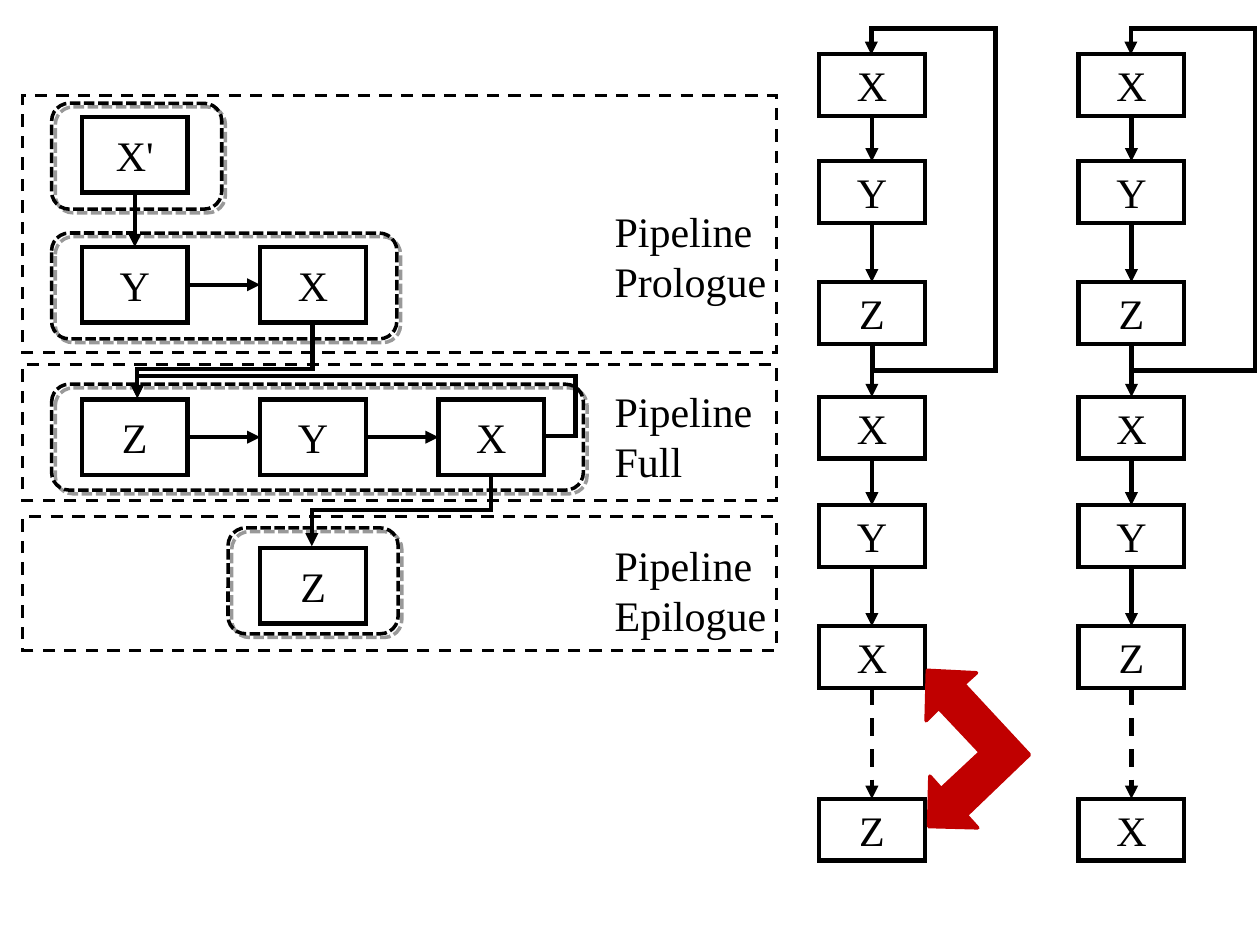
from dataclasses import dataclass
from itertools import pairwise

import pptx
import pptx.dml.color
import pptx.enum.dml
import pptx.enum.shapes
import pptx.enum.text
import pptx.oxml
import pptx.oxml.ns
import pptx.util

COLORS = {"ink": "000000", "hazard": "C00000"}
FONT, FONT_SIZE = "Times New Roman", 24
DASH = pptx.enum.dml.MSO_LINE.DASH
SHORT_DASH = pptx.enum.dml.MSO_LINE.SQUARE_DOT
SHAPES = pptx.enum.shapes.MSO_SHAPE
NAMESPACE = 'xmlns:a="http://schemas.openxmlformats.org/drawingml/2006/main"'

NODE_WIDTH = 0.84
# Loop chains: one column per chain, one row per node
CHAIN_COLUMNS = {6.5: "XYZXYXZ", 8.56: "XYZXYZX"}
CHAIN_ROWS = [0.43, 1.28, 2.24, 3.15, 4.01, 4.97, 6.34]
CHAIN_NODE_HEIGHT = 0.49
# Pipeline: equal columns, one row per step
PIPELINE_LEFT, PIPELINE_PITCH = 0.65, 1.415
PIPELINE_ROWS = [0.93, 1.96, 3.17, 4.35]
PIPELINE_NODE_HEIGHT = 0.6
PIPELINE_NODES = [(0, 0, "X'"), (0, 1, "Y"), (1, 1, "X"), (0, 2, "Z"),
                  (1, 2, "Y"), (2, 2, "X"), (1, 3, "Z")]


@dataclass
class Frame:
    left: float
    top: float
    width: float
    height: float

    def inches(self) -> list:
        return [pptx.util.Inches(value) for value in
                (self.left, self.top, self.width, self.height)]


@dataclass
class Stage:
    name: str
    top: float
    height: float
    label_top: float


@dataclass
class Elbow:
    frame: Frame
    preset: str
    adjustments: list[float]
    transform: dict[str, str]


STAGES = [Stage("Prologue", 0.76, 2.04, 1.58), Stage("Full", 2.89, 1.08, 3.01),
          Stage("Epilogue", 4.1, 1.06, 4.23)]
GROUPS = [Frame(1.81, 4.19, 1.35, 0.84), Frame(0.41, 3.05, 4.22, 0.84),
          Frame(0.41, 1.85, 2.74, 0.84), Frame(0.41, 0.82, 1.35, 0.84)]
PIPELINE_ELBOWS = [
    Elbow(Frame(1.49, 2.17, 0.59, 1.39), "bentConnector3", [0.61], {"rot": "5400000"}),
    Elbow(Frame(2.9, 3.34, 0.57, 1.42), "bentConnector3", [0.5], {"rot": "5400000"}),
    Elbow(Frame(1.09, 3.16, 3.22, 0.3), "bentConnector4", [-0.08, 1.58],
          {"flipH": "1", "flipV": "1"}),
]
# Corners in hundredths of an inch, since a freeform keeps whole units only
HAZARD_ARROW = [(737, 656), (738, 616), (747, 626), (778, 597), (745, 562), (735, 572),
                (736, 532), (775, 534), (765, 543), (817, 599), (767, 647), (776, 657)]


def color(name: str):
    return pptx.dml.color.RGBColor.from_string(COLORS[name])


def element(xml: str):
    return pptx.oxml.parse_xml(xml.replace(" ", f" {NAMESPACE} ", 1))


def style_line(shape, width: float, dash=None, arrow: bool = False) -> None:
    shape.line.color.rgb = color("ink")
    shape.line.width = pptx.util.Pt(width)
    if dash is not None:
        shape.line.dash_style = dash
    line = shape.line._get_or_add_ln()
    line.append(element('<a:miter lim="800000"/>'))
    if arrow:
        line.append(element('<a:tailEnd type="triangle"/>'))


def write(shape, lines: list[str]) -> None:
    frame = shape.text_frame
    frame.word_wrap = True
    frame.text = "\n".join(lines)
    for paragraph in frame.paragraphs:
        for span in paragraph.runs:
            span.font.name = FONT
            span.font.size = pptx.util.Pt(FONT_SIZE)
            span.font.color.rgb = color("ink")


def add_outline(page, frame: Frame, width: float, dash=None, kind=SHAPES.RECTANGLE):
    box = page.shapes.add_shape(kind, *frame.inches())
    box.shadow.inherit = False
    box.fill.background()
    style_line(box, width, dash)
    return box


def add_node(page, frame: Frame, name: str) -> None:
    box = add_outline(page, frame, 2.5)
    write(box, [name])
    box.text_frame.vertical_anchor = pptx.enum.text.MSO_ANCHOR.MIDDLE
    box.text_frame.paragraphs[0].alignment = pptx.enum.text.PP_ALIGN.CENTER


def add_group(page, frame: Frame) -> None:
    box = add_outline(page, frame, 2, SHORT_DASH, SHAPES.ROUNDED_RECTANGLE)
    effects = box._element.spPr.find(pptx.oxml.ns.qn("a:effectLst"))
    effects.append(element(
        '<a:outerShdw blurRad="0" dist="38100" dir="2700000" algn="tl" rotWithShape="0">'
        f'<a:srgbClr val="{COLORS["ink"]}"><a:alpha val="40000"/></a:srgbClr></a:outerShdw>'))


def add_arrow(page, x1: float, y1: float, x2: float, y2: float, dash=None):
    arrow = page.shapes.add_connector(
        pptx.enum.shapes.MSO_CONNECTOR.STRAIGHT,
        *[pptx.util.Inches(value) for value in (x1, y1, x2, y2)])
    style_line(arrow, 2.5, dash, arrow=True)
    arrow._element.spPr.append(element("<a:effectLst />"))
    return arrow


def add_elbow(page, elbow: Elbow) -> None:
    frame = elbow.frame
    arrow = add_arrow(page, frame.left, frame.top,
                      frame.left + frame.width, frame.top + frame.height)
    properties = arrow._element.spPr
    for key, value in elbow.transform.items():
        properties.xfrm.set(key, value)
    geometry = properties.find(pptx.oxml.ns.qn("a:prstGeom"))
    geometry.set("prst", elbow.preset)
    guides = geometry.find(pptx.oxml.ns.qn("a:avLst"))
    for number, share in enumerate(elbow.adjustments, 1):
        guides.append(element(
            f'<a:gd name="adj{number}" fmla="val {round(share * 100000)}"/>'))


def add_chain(page, left: float, names: str) -> None:
    center = left + NODE_WIDTH / 2
    for top, name in zip(CHAIN_ROWS, names):
        add_node(page, Frame(left, top, NODE_WIDTH, CHAIN_NODE_HEIGHT), name)
    for top, following in pairwise(CHAIN_ROWS):
        dash = DASH if following == CHAIN_ROWS[-1] else None
        add_arrow(page, center, top + CHAIN_NODE_HEIGHT, center, following, dash)
    # The loop runs from below Z back to the top of the first X
    rise = CHAIN_ROWS[2] + CHAIN_NODE_HEIGHT - CHAIN_ROWS[0]
    middle = CHAIN_ROWS[0] + rise / 2
    add_elbow(page, Elbow(Frame(center - rise / 2, middle, rise, 0.01), "bentConnector5",
                          [-0.09, -99, 1.09], {"rot": "16200000", "flipV": "1"}))


def add_hazard_arrow(page) -> None:
    builder = page.shapes.build_freeform(*HAZARD_ARROW[0], scale=pptx.util.Inches(0.01))
    builder.add_line_segments(HAZARD_ARROW[1:], close=True)
    arrow = builder.convert_to_shape()
    arrow.shadow.inherit = False
    arrow.fill.solid()
    arrow.fill.fore_color.rgb = color("hazard")
    arrow.line.color.rgb = color("hazard")
    arrow.line.width = pptx.util.Pt(2)


def add_pipeline(page) -> None:
    for stage in STAGES:
        add_outline(page, Frame(0.18, stage.top, 5.98, stage.height), 1.75, DASH)
    for group in GROUPS:
        add_group(page, group)
    columns = [PIPELINE_LEFT + PIPELINE_PITCH * index for index in range(3)]
    center = columns[0] + NODE_WIDTH / 2
    add_arrow(page, center, PIPELINE_ROWS[0] + PIPELINE_NODE_HEIGHT, center, PIPELINE_ROWS[1])
    for column, row in [(0, 1), (0, 2), (1, 2)]:
        y = PIPELINE_ROWS[row] + PIPELINE_NODE_HEIGHT / 2
        add_arrow(page, columns[column] + NODE_WIDTH, y, columns[column + 1], y)
    for elbow in PIPELINE_ELBOWS:
        add_elbow(page, elbow)
    for stage in STAGES:
        label = page.shapes.add_textbox(*Frame(4.78, stage.label_top, 1.5, 0.9).inches())
        write(label, ["Pipeline", stage.name])
    for column, row, name in PIPELINE_NODES:
        add_node(page, Frame(columns[column], PIPELINE_ROWS[row],
                             NODE_WIDTH, PIPELINE_NODE_HEIGHT), name)


def main() -> None:
    deck = pptx.Presentation()
    deck.slide_width, deck.slide_height = pptx.util.Inches(10), pptx.util.Inches(7.5)
    page = deck.slides.add_slide(deck.slide_layouts[6])
    for left, names in CHAIN_COLUMNS.items():
        add_chain(page, left, names)
    add_hazard_arrow(page)
    add_pipeline(page)
    deck.save("out.pptx")


if __name__ == "__main__":
    main()
